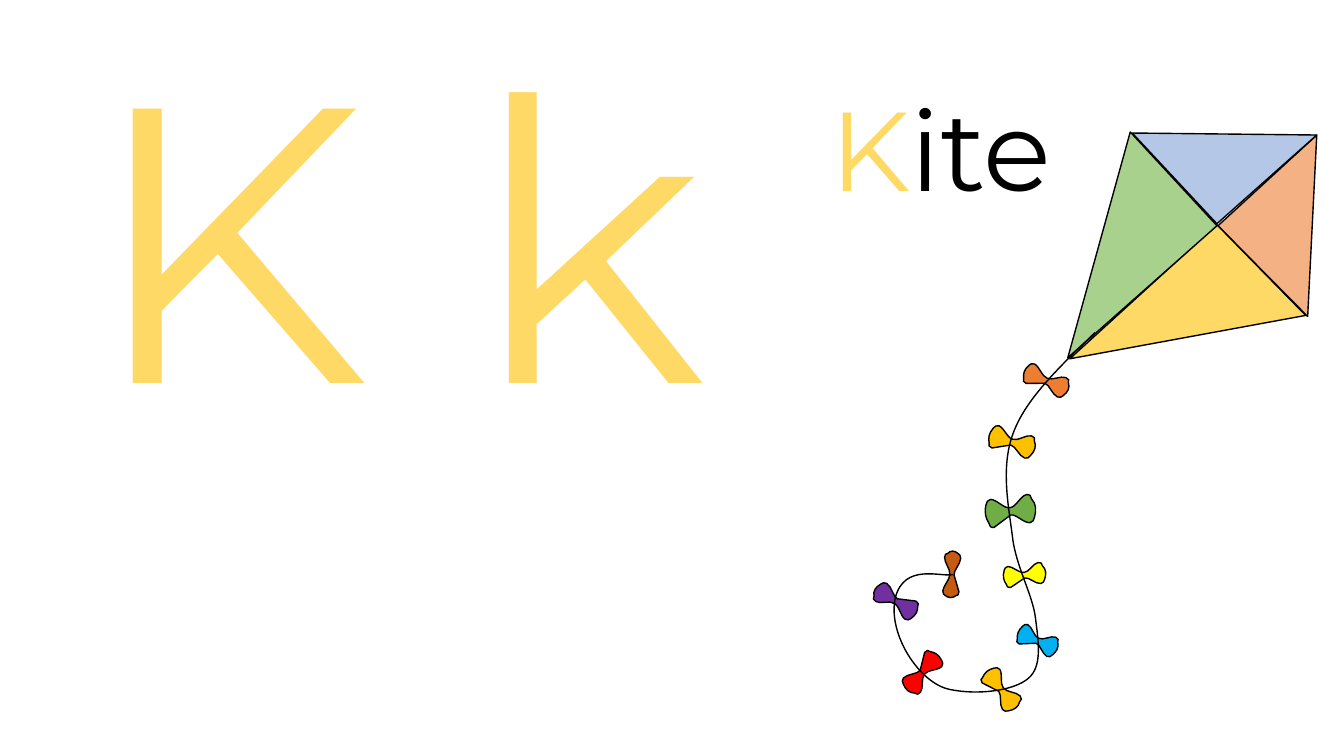
from lxml import etree
from pptx import Presentation
from pptx.dml.color import RGBColor
from pptx.enum.text import MSO_AUTO_SIZE
from pptx.oxml.ns import qn
from pptx.util import Inches, Pt

FIT_SHAPE = MSO_AUTO_SIZE.SHAPE_TO_FIT_TEXT
COLORS = {
    "black": "000000", "gold": "FFD966", "peach": "F4B183", "sky": "B4C7E7",
    "mint": "A9D18E", "green": "70AD47", "yellow": "FFFF00", "blue": "00B0F0",
    "amber": "FFC000", "brown": "C55A11", "purple": "7030A0", "red": "FF0000",
    "orange": "ED7D31",
}
PANELS = [
    ("peach", [(12.97, 3.14), (12.08, 2.24), (13.06, 1.34)]),
    ("sky", [(11.23, 1.32), (12.07, 2.22), (13.06, 1.34)]),
    ("gold", [(12.95, 3.13), (12.07, 2.23), (10.61, 3.56)]),
    ("mint", [(11.21, 1.31), (12.07, 2.24), (10.59, 3.55)]),
]
BOW_SEGMENTS = [
    [(-0.46, -0.33)],
    [(-0.45, -0.43), (-0.41, -0.49), (-0.36, -0.5)],
    [(-0.25, -0.49), (-0.11, -0.1), (0, -0.12)],
    [(0.13, -0.11), (0.24, -0.49), (0.36, -0.5)],
    [(0.42, -0.51), (0.46, -0.43), (0.45, -0.33)],
    [(0.53, -0.13), (0.52, 0.09), (0.46, 0.33)],
    [(0.45, 0.43), (0.41, 0.49), (0.36, 0.5)],
    [(0.23, 0.49), (0.11, 0.13), (0, 0.14)],
    [(-0.36, 0.5)],
    [(-0.42, 0.51), (-0.46, 0.43), (-0.45, 0.33)],
    [(-0.5, 0.14), (-0.52, -0.05), (-0.46, -0.33)],
]
BOWS = [
    ("green", 9.77, 4.93, 0.5, 0.28, 352.5),
    ("yellow", 9.95, 5.6, 0.42, 0.21, 352.5),
    ("blue", 10.08, 6.25, 0.42, 0.21, 24.3),
    ("amber", 9.8, 4.27, 0.47, 0.23, 17.2),
    ("brown", 9.21, 5.62, 0.46, 0.16, 273.1),
    ("purple", 8.65, 5.86, 0.47, 0.21, 211.2),
    ("red", 8.92, 6.56, 0.46, 0.22, 129.6),
    ("amber", 9.7, 6.73, 0.46, 0.22, 52.6),
    ("orange", 10.14, 3.67, 0.47, 0.21, 23.4),
]
TAIL_SEGMENTS = [
    [(10.86, 3.3)],
    [(10.53, 3.62), (10.19, 3.94), (10.06, 4.27)],
    [(9.92, 4.61), (10, 5), (10.04, 5.31)],
    [(10.07, 5.61), (10.24, 5.89), (10.27, 6.13)],
    [(10.3, 6.37), (10.34, 6.61), (10.2, 6.73)],
    [(10.06, 6.85), (9.71, 6.9), (9.42, 6.84)],
    [(9.12, 6.78), (8.8, 6.29), (8.88, 5.93)],
    [(8.97, 5.58), (9.34, 5.73), (9.45, 5.7)],
]


def color(name):
    """Return the named colour."""
    return RGBColor.from_string(COLORS[name])


def bend(shape, segments):
    """Turn the lines of a freeform into curves where control points exist."""
    lines = list(shape._element.iter(qn("a:lnTo")))
    for line, (*controls, _) in zip(lines, segments):
        if controls:
            line.tag = qn("a:cubicBezTo")
        for index, (x, y) in enumerate(controls):
            point = etree.Element(qn("a:pt"))
            point.set("x", str(Inches(x) - shape.left))
            point.set("y", str(Inches(y) - shape.top))
            line.insert(index, point)


def add_span(para, text, size=80, fill="black", font="Montserrat"):
    """Add formatted text to a paragraph."""
    span = para.add_run()
    span.text = text
    span.font.size = Pt(size)
    span.font.name = font
    span.font.color.rgb = color(fill)


class LetterPage:
    """Draws the elements of an alphabet page."""

    def __init__(self, page, line_width=1):
        """Keep the slide and the outline width."""
        self.page = page
        self.line_width = Pt(line_width)

    def words(self, left, top, width, height, spans):
        """Add a text box made of formatted spans."""
        box = self.page.shapes.add_textbox(
            Inches(left), Inches(top), Inches(width), Inches(height))
        box.text_frame.word_wrap = True
        box.text_frame.auto_size = FIT_SHAPE
        for text, style in spans:
            add_span(box.text_frame.paragraphs[0], text, **style)
        return box

    def outline(self, segments, fill=None):
        """Add a filled closed outline, or an open line without fill."""
        start, *rest = [(Inches(x), Inches(y)) for *_, (x, y) in segments]
        builder = self.page.shapes.build_freeform(*start)
        builder.add_line_segments(rest, close=fill is not None)
        shape = builder.convert_to_shape()
        bend(shape, segments[1:])
        shape.shadow.inherit = False
        shape.line.color.rgb = color("black")
        shape.line.width = self.line_width
        if fill:
            shape.fill.solid()
            shape.fill.fore_color.rgb = color(fill)
        else:
            shape.fill.background()
        return shape

    def panel(self, fill, corners):
        """Add a straight-edged kite panel."""
        return self.outline([[corner] for corner in corners], fill)

    def bow(self, fill, left, top, width, height, angle):
        """Add a tail bow turned by an angle."""
        segments = [[(left + width * (x + 0.5), top + height * (y + 0.5))
                     for x, y in segment] for segment in BOW_SEGMENTS]
        shape = self.outline(segments, fill)
        shape.rotation = angle
        return shape


def main():
    """Build the letter K slide."""
    deck = Presentation()
    deck.slide_width, deck.slide_height = Inches(13.33), Inches(7.5)
    page = deck.slides.add_slide(deck.slide_layouts[6])
    letter = LetterPage(page)
    letter.words(0.78, -0.13, 7.93, 4.98, [("K k", {"size": 280, "fill": "gold"})])
    kite = [letter.words(8.14, 0.74, 3.84, 1.85, [("K", {"fill": "gold"}), ("ite", {})])]
    kite += [letter.panel(*panel) for panel in PANELS]
    kite += [letter.bow(*bow) for bow in BOWS]
    kite.append(letter.outline(TAIL_SEGMENTS))
    page.shapes.add_group_shape(kite)
    deck.save("out.pptx")


if __name__ == "__main__":
    main()
